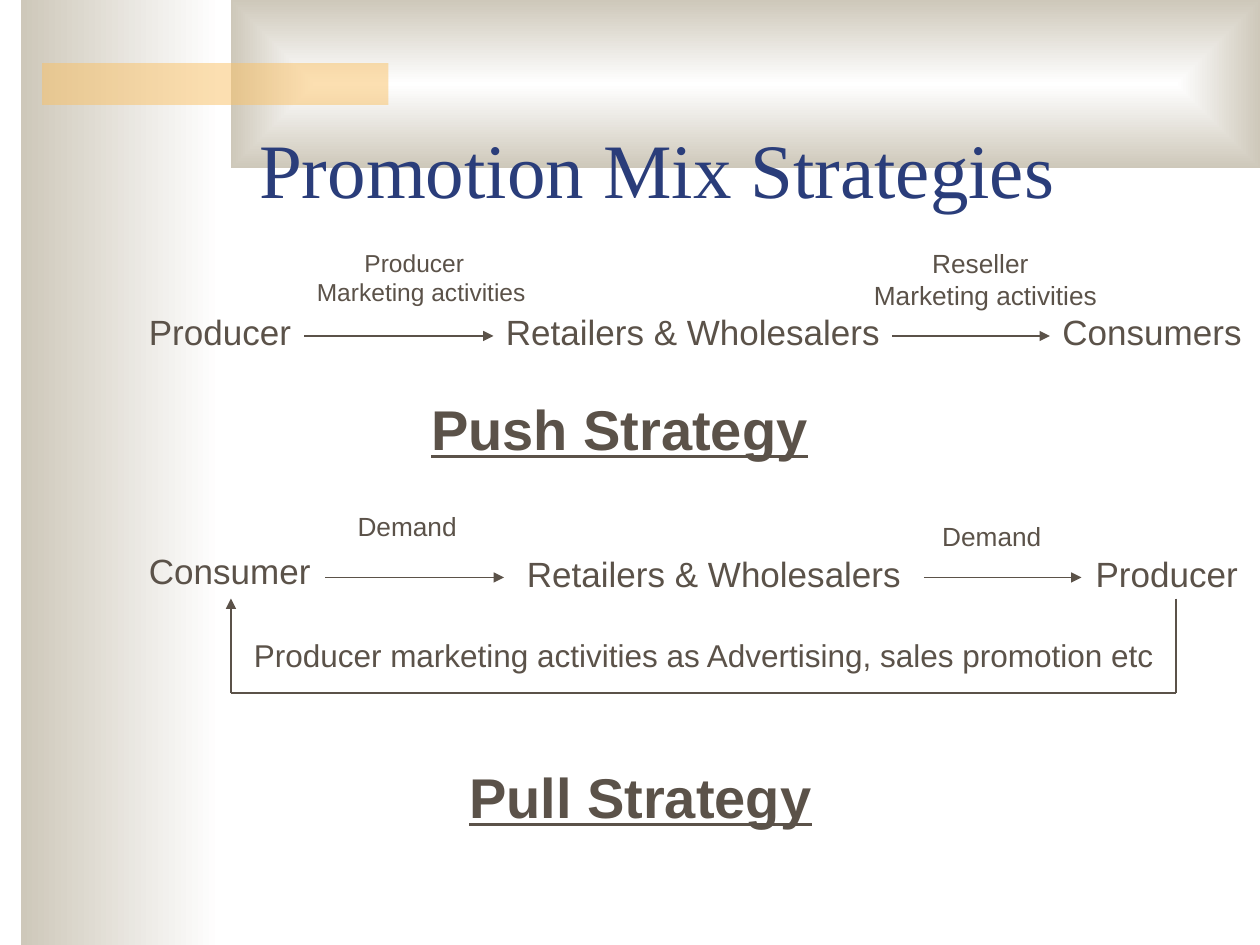
from lxml.etree import SubElement
from pptx import Presentation
from pptx.dml.color import RGBColor
from pptx.enum.shapes import MSO_CONNECTOR as Connector, MSO_SHAPE as Shape
from pptx.enum.text import MSO_ANCHOR as Anchor, PP_ALIGN as Align
from pptx.oxml.ns import qn
from pptx.util import Pt

hex_color = RGBColor.from_string
BROWN = "5B5249"
SAND = "CEC8BA"

deck = Presentation()
deck.slide_width, deck.slide_height = Pt(720), Pt(540)
page = deck.slides.add_slide(deck.slide_layouts[6])


def add_text(lines, left, top, width, height, size, indent=0, wrap=False,
             color=BROWN, anchor=Anchor.TOP, align=Align.LEFT, **style):
    box = page.shapes.add_textbox(Pt(left), Pt(top), Pt(width), Pt(height))
    frame = box.text_frame
    frame.word_wrap = wrap
    frame.vertical_anchor = anchor
    font_values = {"name": "Arial", "size": Pt(size), **style}
    for number, line in enumerate(lines):
        para = frame.add_paragraph() if number else frame.paragraphs[0]
        para.alignment = align
        if indent and number == 0:
            para._p.get_or_add_pPr().set("marL", str(Pt(indent)))
        span = para.add_run()
        span.text = line
        for name, value in font_values.items():
            setattr(span.font, name, value)
        span.font.color.rgb = hex_color(color)


def add_line(x1, y1, x2, y2, arrow=True):
    line = page.shapes.add_connector(Connector.STRAIGHT, Pt(x1), Pt(y1), Pt(x2), Pt(y2))
    line.line.width = Pt(0.75)
    line.line.color.rgb = hex_color(BROWN)
    if arrow:
        SubElement(line.line._get_or_add_ln(), qn("a:tailEnd"), type="triangle")
    SubElement(line._element.spPr, qn("a:effectLst"))


bands = []
for left, top, width, height in [(12, 0, 114, 540), (132, 0, 588, 96), (24, 36, 198, 24)]:
    band = page.shapes.add_shape(Shape.RECTANGLE, Pt(left), Pt(top), Pt(width), Pt(height))
    band.shadow.inherit = False
    band.line.fill.background()
    bands.append(band)
side_band, top_band, accent_bar = bands

for band in (side_band, top_band):
    band.fill.gradient()
    band.fill.gradient_angle = 180
    for stop, color in zip(band.fill.gradient_stops, ("FFFFFF", SAND)):
        stop.color.rgb = hex_color(color)

gradient = top_band._element.spPr.find(qn("a:gradFill"))
gradient.remove(gradient.find(qn("a:lin")))
center = SubElement(gradient, qn("a:path"), path="rect")
SubElement(center, qn("a:fillToRect"), {side: "50000" for side in "ltrb"})

accent_bar.fill.solid()
accent_bar.fill.fore_color.rgb = hex_color("FAC164")
accent_color = accent_bar._element.spPr.find(qn("a:solidFill"))[0]
SubElement(accent_color, qn("a:alpha"), val="50000")

add_text(["Promotion Mix Strategies"], 108, 48, 612, 78, 44, indent=33, wrap=True,
         color="2A3D7A", anchor=Anchor.BOTTOM, name="Times New Roman")

for name, left, top, width, wrap in [
    ("Producer", 78, 174, 100.8, False),
    ("Retailers & Wholesalers", 282, 174, 228, True),
    ("Consumers", 600, 174, 120, True),
    ("Consumer", 78, 310.5, 112, False),
    ("Retailers & Wholesalers", 294, 312, 234, True),
    ("Producer", 619, 312, 100.8, False),
]:
    add_text([name], left, top, width, 31.5, 20, wrap=wrap)

for lines, left, top, width, height, size, indent, wrap in [
    (["Producer", "Marketing activities"], 174, 138, 138, 41, 14, 27.2, True),
    (["Reseller", "Marketing activities"], 492.3, 138, 142, 43.5, 15, 33.3, False),
    (["Demand"], 168, 288, 104.5, 25.5, 15, 29.2, False),
    (["Demand"], 498, 294, 108.6, 25.5, 15, 33.3, False),
]:
    add_text(lines, left, top, width, height, size, indent, wrap)

for name, left, top in [("Push Strategy", 222, 222), ("Pull Strategy", 234, 432)]:
    add_text([name], left, top, 264, 46, 32, wrap=True, align=Align.CENTER,
             bold=True, underline=True)

add_text(["Producer marketing activities as Advertising, sales promotion etc"],
         138, 360, 529, 29, 18)

for start, end, level in [(174, 282, 192), (510, 600, 192), (186, 288, 330), (528, 618, 330)]:
    add_line(start, level, end, level)

add_line(672, 342, 672, 396, arrow=False)
add_line(672, 396, 132, 396, arrow=False)
add_line(132, 396, 132, 342)

deck.save("out.pptx")
